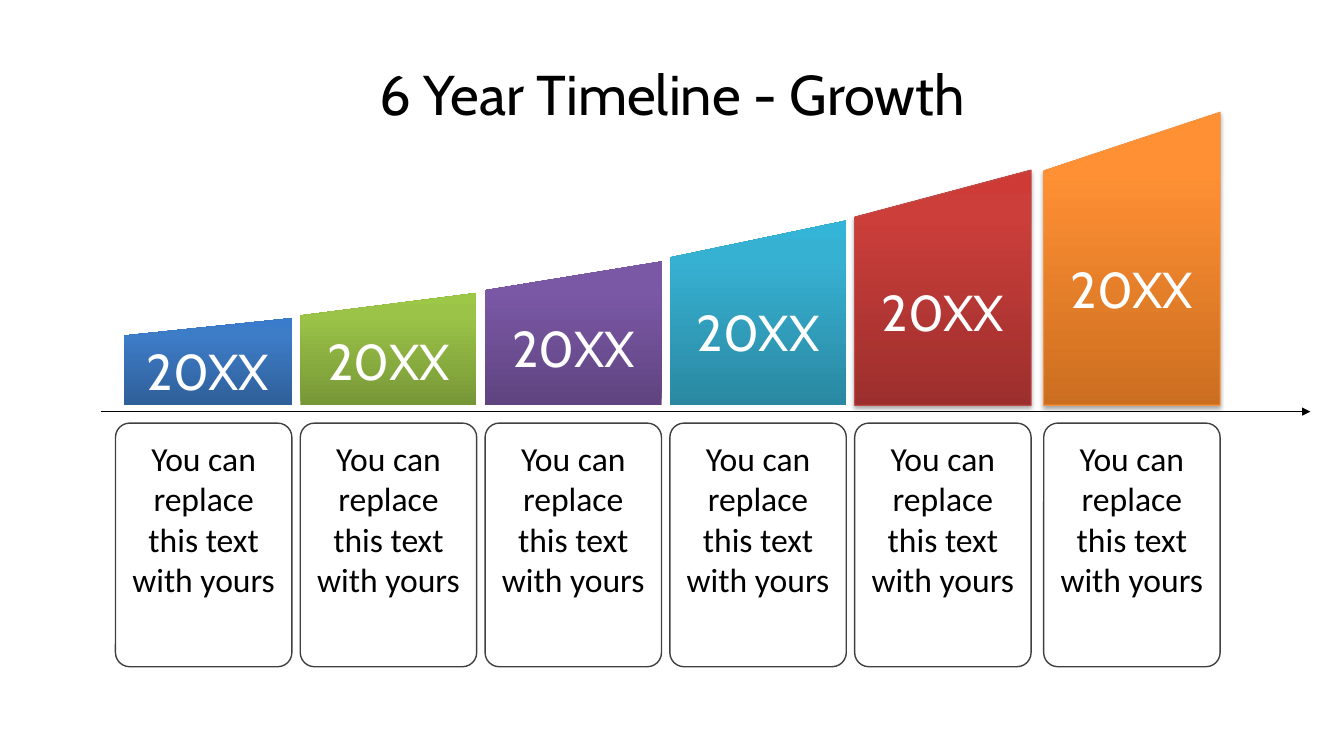
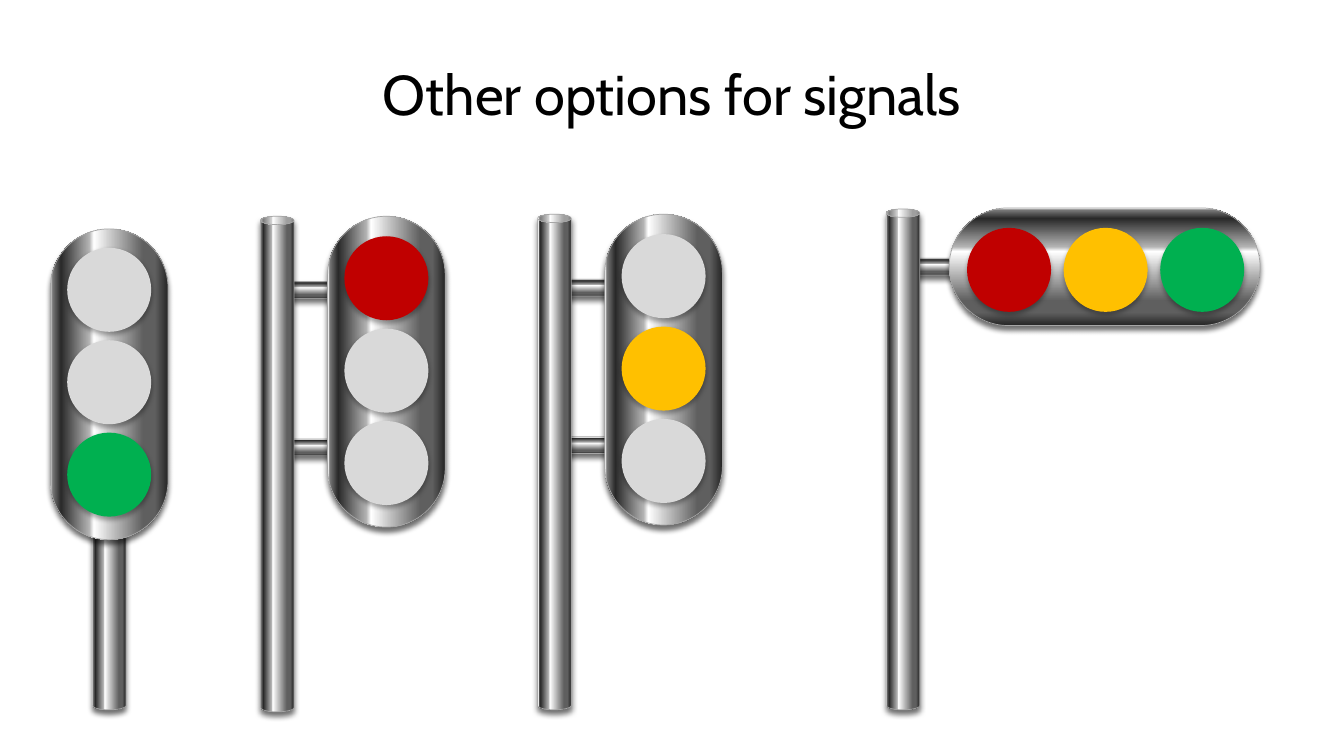
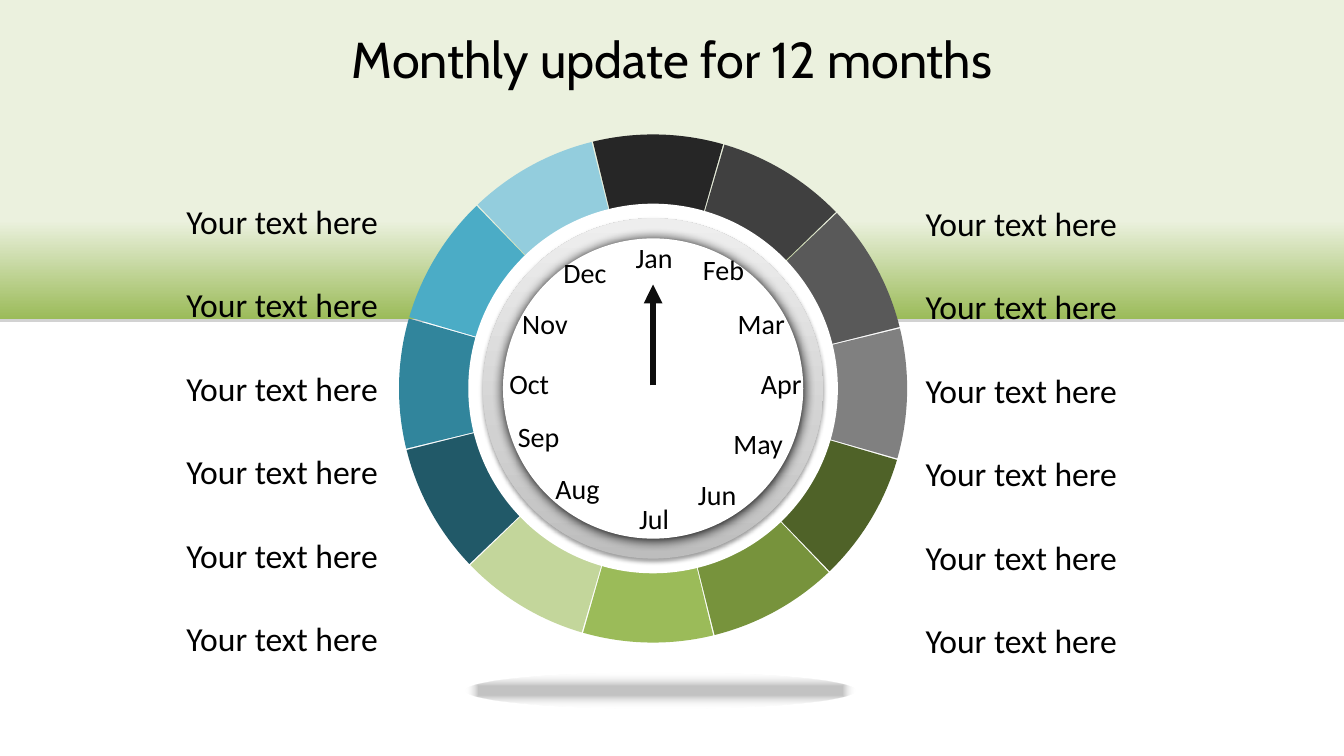
"""Build three slides: a growth timeline, traffic signals and a twelve-month dial."""
import dataclasses
import typing

import lxml.etree
import pptx
import pptx.dml.color
import pptx.enum.shapes
import pptx.enum.text
import pptx.oxml.ns
import pptx.util

SHAPE = pptx.enum.shapes.MSO_SHAPE
ALIGN = pptx.enum.text.PP_ALIGN
ANCHOR = pptx.enum.text.MSO_ANCHOR
AUTO_SIZE = pptx.enum.text.MSO_AUTO_SIZE
EMU_PER_PX = 9525
HEADING_FONT, BODY_FONT = "Cabin", "Calibri"
BLACK, WHITE = "000000", "FFFFFF"
RED, AMBER, GREEN, UNLIT = "C00000", "FFC000", "00B050", "D9D9D9"


class Box(typing.NamedTuple):
    """Left, top, width and height in px."""
    x: int
    y: int
    w: int
    h: int


class Stop(typing.NamedTuple):
    """Gradient stop: position and opacity in percent."""
    pos: int
    color: str
    alpha: int = 100


class Shadow(typing.NamedTuple):
    """Downward shadow: opacity in percent, blur and distance in points."""
    alpha: int
    blur: float
    dist: float
    color: str = BLACK


class Line(typing.NamedTuple):
    """Outline colour and width in points."""
    color: str
    width: float


@dataclasses.dataclass(frozen=True)
class Year:
    """One bar of the growth timeline."""
    x: int
    height: int
    shades: tuple[str, str, str]
    width: int = 168
    line: Line | None = None
    shadow: Shadow | None = None


@dataclasses.dataclass(frozen=True)
class Signal:
    """One traffic signal, its points given as centres."""
    pole: Box
    housing: tuple[int, int]
    arms: tuple[tuple[int, int], ...]
    first_lamp: tuple[int, int]
    lamp_step: tuple[int, int]
    lamps: tuple[str, str, str]
    rotation: int = 0


class Month(typing.NamedTuple):
    """Label on the dial: centre, top and width in px."""
    name: str
    cx: int
    y: int
    w: int = 80


BAR_SHADOW = Shadow(35, 3.1, 1.8)
YEARS = (
    Year(118, 83, ("2F5F99", "3D7CC7", "3A7CCB"), width=160),
    Year(286, 107, ("779737", "9BC348", "9DC746")),
    Year(462, 137, ("5F4480", "7B58A6", "7C57A8")),
    Year(638, 176, ("2A88A2", "37B1D2", "34B4D6")),
    Year(814, 224, ("9C2F2D", "CB3E3A", "CE3B37"), line=Line("BF4C48", 0.75), shadow=BAR_SHADOW),
    Year(994, 279, ("CC6E20", "FF9034", "FF9136"), line=Line("F69240", 0.75), shadow=BAR_SHADOW),
)

METAL = (Stop(0, "262626"), Stop(11, "5F5F5F"), Stop(21, "5F5F5F"), Stop(63, WHITE),
         Stop(67, "B2B2B2"), Stop(91, "292929"), Stop(98, "777777"), Stop(100, "EAEAEA"))
SIGNALS = (
    Signal(Box(88, 500, 32, 176), (104, 366), (), (104, 276), (0, 88), (UNLIT, UNLIT, GREEN)),
    Signal(Box(248, 206, 32, 472), (368, 354), ((312, 276), (312, 426)),
           (368, 265), (0, 88), (RED, UNLIT, UNLIT)),
    Signal(Box(512, 204, 32, 472), (632, 352), ((576, 274), (576, 424)),
           (632, 263), (0, 88), (UNLIT, AMBER, UNLIT)),
    Signal(Box(844, 199, 32, 477), (1052, 254), ((911, 254),),
           (961, 257), (92, 0), (RED, AMBER, GREEN), rotation=90),
)

ARC_COLORS = ("595959", "808080", "4F6228", "77933C", "9BBB59", "C3D69B",
              "215968", "31859C", "4BACC6", "93CDDD", "262626", "404040")
MONTHS = (
    Month("Jan", 623, 224, 62), Month("Feb", 689, 236, 72), Month("Mar", 725, 287),
    Month("Apr", 744, 344), Month("May", 722, 401), Month("Jun", 683, 450),
    Month("Jul", 623, 473), Month("Aug", 550, 444), Month("Sep", 513, 395),
    Month("Oct", 504, 344), Month("Nov", 519, 287), Month("Dec", 557, 239),
)


def px(n: int) -> pptx.util.Emu:
    """Turn px into EMU."""
    return pptx.util.Emu(n * EMU_PER_PX)


def rgb(color: str) -> pptx.dml.color.RGBColor:
    """Turn a hex string into a colour."""
    return pptx.dml.color.RGBColor.from_string(color)


def centred(cx: int, cy: int, w: int, h: int) -> Box:
    """Return the box of a given size around a centre."""
    return Box(cx - w // 2, cy - h // 2, w, h)


def child(parent, tag: str, **attrs):
    """Append a DrawingML element to its parent."""
    el = lxml.etree.SubElement(parent, pptx.oxml.ns.qn(f"a:{tag}"))
    for name, value in attrs.items():
        el.set(name, str(value))
    return el


def add_color(parent, color: str, alpha: int) -> None:
    """Append a colour with its opacity."""
    el = child(parent, "srgbClr", val=str(rgb(color)))
    if alpha < 100:
        child(el, "alpha", val=alpha * 1000)


def set_gradient(sp, stops: typing.Sequence[Stop], angle: int | None) -> None:
    """Fill with a linear gradient, or one that follows the outline if no angle is given."""
    sp.fill.gradient()
    grad = sp._element.spPr.find(pptx.oxml.ns.qn("a:gradFill"))
    grad.clear()
    grad.set("rotWithShape", "1")
    stop_list = child(grad, "gsLst")
    for stop in stops:
        add_color(child(stop_list, "gs", pos=stop.pos * 1000), stop.color, stop.alpha)
    if angle is None:
        child(child(grad, "path", path="shape"), "fillToRect", l=50000, t=50000, r=50000, b=50000)
    else:
        child(grad, "lin", ang=angle * 60000, scaled=0)


def set_shadow(sp, shadow: Shadow | None) -> None:
    """Drop the theme shadow and set the given one."""
    sp.shadow.inherit = False
    if shadow:
        effects = sp._element.spPr.find(pptx.oxml.ns.qn("a:effectLst"))
        outer = child(effects, "outerShdw", blurRad=pptx.util.Pt(shadow.blur),
                      dist=pptx.util.Pt(shadow.dist), dir=90 * 60000, rotWithShape=0)
        add_color(outer, shadow.color, shadow.alpha)


def add_shape(slide, kind, box: Box, fill: str | typing.Sequence[Stop] | None = None,
              angle: int | None = None, line: Line | None = None,
              shadow: Shadow | None = None, rotation: int = 0):
    """Add a preset shape with its fill, outline and shadow."""
    sp = slide.shapes.add_shape(kind, *map(px, box))
    sp.rotation = rotation
    if fill is None:
        sp.fill.background()
    elif isinstance(fill, str):
        sp.fill.solid()
        sp.fill.fore_color.rgb = rgb(fill)
    else:
        set_gradient(sp, fill, angle)
    if line:
        sp.line.color.rgb = rgb(line.color)
        sp.line.width = pptx.util.Pt(line.width)
    else:
        sp.line.fill.background()
    set_shadow(sp, shadow)
    return sp


def write(sp, text: str, size: int, font: str = BODY_FONT, color: str = BLACK,
          align=ALIGN.CENTER, anchor=ANCHOR.TOP) -> None:
    """Write one run of text into a shape."""
    tf = sp.text_frame
    tf.word_wrap = True
    tf.vertical_anchor = anchor
    p = tf.paragraphs[0]
    p.alignment = align
    r = p.add_run()
    r.text = text
    r.font.size = pptx.util.Pt(size)
    r.font.name = font
    r.font.color.rgb = rgb(color)


def add_label(slide, box: Box, text: str, size: int, align=ALIGN.CENTER) -> None:
    """Add a text box that grows with its text."""
    sp = slide.shapes.add_textbox(*map(px, box))
    write(sp, text, size, align=align)
    sp.text_frame.auto_size = AUTO_SIZE.SHAPE_TO_FIT_TEXT


def add_arrow(slide, start: tuple[int, int], end: tuple[int, int], line: Line) -> None:
    """Add a straight arrow pointing at its end."""
    c = slide.shapes.add_connector(pptx.enum.shapes.MSO_CONNECTOR.STRAIGHT,
                                   *map(px, (*start, *end)))
    c.line.color.rgb = rgb(line.color)
    c.line.width = pptx.util.Pt(line.width)
    child(c.line._get_or_add_ln(), "tailEnd", type="triangle")
    child(c._element.spPr, "effectLst")


def set_title(slide, text: str, box: Box = Box(64, 29, 1152, 120), size: int = 40) -> None:
    """Place and write the title in front of the other shapes."""
    sp = slide.shapes.title
    sp.left, sp.top, sp.width, sp.height = map(px, box)
    write(sp, text, size, HEADING_FONT, anchor=ANCHOR.MIDDLE)
    sp.text_frame.auto_size = AUTO_SIZE.NONE
    slide.shapes._spTree.append(sp._element)


def draw_timeline(slide) -> None:
    """Draw rising bars above an axis and a card below each."""
    base, card_width = 386, 168
    add_arrow(slide, (96, 392), (1248, 392), Line(BLACK, 0.75))
    for year in YEARS:
        stops = [Stop(pos, color) for pos, color in zip((0, 80, 100), year.shades)]
        bar = add_shape(slide, SHAPE.FLOWCHART_MANUAL_INPUT,
                        Box(year.x, base - year.height, year.width, year.height),
                        stops, 270, year.line, year.shadow)
        write(bar, "20XX", 36, HEADING_FONT, WHITE, anchor=ANCHOR.MIDDLE)
        card = add_shape(slide, SHAPE.ROUNDED_RECTANGLE,
                         Box(year.x + year.width - card_width, 403, card_width, 232),
                         line=Line("404040", 1))
        card.adjustments[0] = 0.08
        write(card, "You can replace this text with yours", 24)
        card.text_frame.margin_top = px(10)
    set_title(slide, "6 Year Timeline - Growth")


def draw_signals(slide) -> None:
    """Draw four traffic signals."""
    def add_metal(kind, box: Box, rotation: int = 0):
        """Add a polished metal part."""
        return add_shape(slide, kind, box, METAL, 180, Line("A6A6A6", 0.5),
                         Shadow(56, 4, 3), rotation)

    for signal in SIGNALS:
        for arm in signal.arms:
            add_metal(SHAPE.CAN, centred(*arm, 16, 108), 90)
        add_metal(SHAPE.CAN, signal.pole)
        housing = add_metal(SHAPE.ROUNDED_RECTANGLE, centred(*signal.housing, 112, 296),
                            signal.rotation)
        housing.adjustments[0] = 0.5
        (x, y), (dx, dy) = signal.first_lamp, signal.lamp_step
        for i, color in enumerate(signal.lamps):
            add_shape(slide, SHAPE.OVAL, centred(x + i * dx, y + i * dy, 80, 80), color,
                      shadow=Shadow(32, 3.5, 2.2))
    set_title(slide, "Other options for signals")


def draw_dial(slide) -> None:
    """Draw a ring of twelve segments around a clock face, with text on both sides."""
    cx, cy = 622, 370
    add_shape(slide, SHAPE.RECTANGLE, Box(0, 0, 1280, 304),
              (Stop(0, "EBF1DE"), Stop(69, "EBF1DE"), Stop(100, "9BBB59")), 90,
              shadow=Shadow(35, 0, 1.8, "808080"))
    for i, color in enumerate(ARC_COLORS):
        arc = add_shape(slide, SHAPE.BLOCK_ARC, centred(cx, cy, 484, 484), color,
                        rotation=(346 + 30 * i) % 360)
        for j, value in enumerate((198.2, 0, 0.25)):
            arc.adjustments[j] = value
    add_shape(slide, SHAPE.OVAL, centred(cx, cy, 352, 352), WHITE)
    add_shape(slide, SHAPE.OVAL, centred(cx, cy, 324, 324),
              (Stop(0, "BDBDBD"), Stop(35, "D1D1D1"), Stop(100, "EEEEEE")), 270,
              shadow=Shadow(38, 3.1, 1.6))
    add_shape(slide, SHAPE.OVAL, centred(cx, cy, 286, 286), WHITE, shadow=Shadow(100, 8.5, 1))
    add_arrow(slide, (cx, 367), (cx, 271), Line("0D0D0D", 4.5))
    for month in MONTHS:
        add_label(slide, Box(month.cx - month.w // 2, month.y, month.w, 42), month.name, 20)
    add_shape(slide, SHAPE.OVAL, Box(443, 641, 372, 34),
              (Stop(24, BLACK, 24), Stop(100, WHITE, 0)))
    for x, top in ((872, 189), (168, 187)):
        for i in range(6):
            add_label(slide, Box(x, top + i * 159 // 2, 256, 48), "Your text here", 24,
                      ALIGN.LEFT)
    set_title(slide, "Monthly update for 12 months", Box(208, 29, 864, 54), 36)


def main() -> None:
    """Build and save the presentation."""
    prs = pptx.Presentation()
    prs.slide_width, prs.slide_height = px(1280), px(720)
    for draw in (draw_timeline, draw_signals, draw_dial):
        draw(prs.slides.add_slide(prs.slide_layouts[5]))
    prs.save("out.pptx")


if __name__ == "__main__":
    main()
